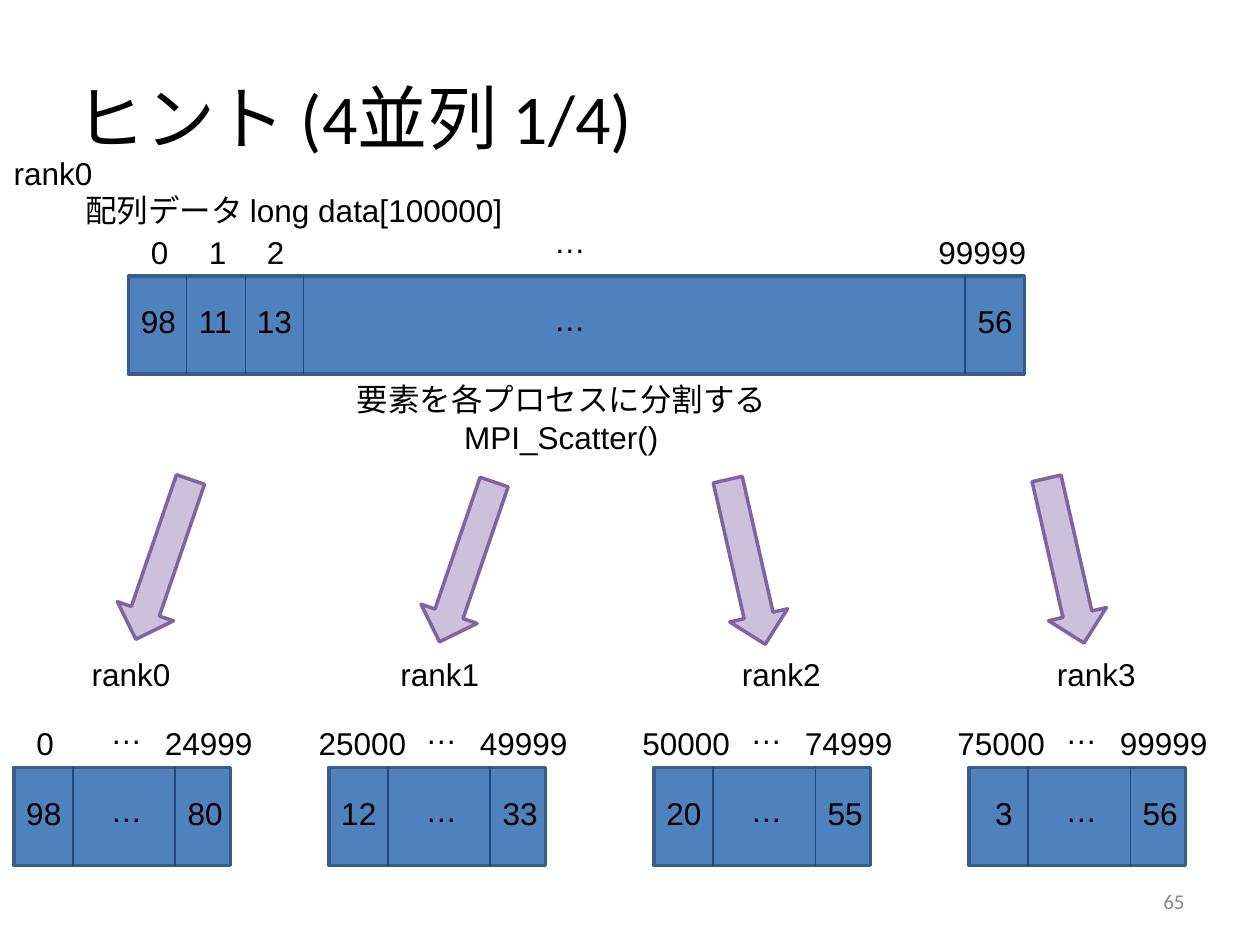
from dataclasses import dataclass
from typing import NamedTuple

from lxml import etree
from pptx import Presentation
from pptx import util as u
from pptx.dml.color import RGBColor
from pptx.enum import shapes, text
from pptx.oxml import ns

PX = 9144  # 100 px to the inch


@dataclass(frozen=True)
class Theme:
    ink: str = "000000"
    muted: str = "898989"
    array_fill: str = "4F81BD"
    array_line: str = "385D8A"
    divider: str = "1F497D"
    arrow_fill: str = "CCC1DA"
    arrow_line: str = "8064A2"
    heading_font: str = "Calibri"
    body_font: str = "Arial"
    title_size: int = 40
    body_size: int = 18
    number_size: int = 12
    outline: float = 2
    hairline: float = 0.75


class Cell(NamedTuple):
    left: int
    value: str
    index: str
    index_center: int
    value_indent: int = 0


class Block(NamedTuple):
    left: int
    rank_left: int
    first: Cell
    last: Cell
    arrow_left: int
    arrow_top: int
    arrow_turn: float


THEME = Theme()
LEFT, CENTER, RIGHT = text.PP_ALIGN.LEFT, text.PP_ALIGN.CENTER, text.PP_ALIGN.RIGHT
LABEL_HEIGHT = 40
VALUE_WIDTH = 48
ELLIPSIS_WIDTH = 45
RANK_WIDTH = 84
ARRAY_HEIGHT = 78

SOURCE_CELLS = [
    Cell(0, "98", "0", 25),
    Cell(46, "11", "1", 71),
    Cell(92, "13", "2", 117),
    Cell(664, "56", "99999", 678),
]
BLOCKS = [
    Block(11, 52, Cell(0, "98", "0", 25), Cell(128, "80", "24999", 155), 106, 377, 18.9),
    Block(261, 47, Cell(0, "12", "25000", 27), Cell(128, "33", "49999", 155), 347, 379, 18.9),
    Block(519, 60, Cell(0, "20", "50000", 26), Cell(128, "55", "74999", 155), 569, 379, -12.8),
    Block(769, 60, Cell(0, "3", "75000", 26, 11), Cell(128, "56", "99999", 155), 822, 378, -12.8),
]


def box(*lengths):
    return [u.Emu(length * PX) for length in lengths]


def color(value):
    return RGBColor.from_string(value)


def add_text(slide, left, top, width, height, lines, *, align=LEFT, wrap=False,
             anchor=text.MSO_ANCHOR.TOP, font=THEME.body_font,
             size=THEME.body_size, ink=THEME.ink, grow=True):
    frame = slide.shapes.add_textbox(*box(left, top, width, height)).text_frame
    frame.word_wrap = wrap
    frame.vertical_anchor = anchor
    frame.auto_size = (text.MSO_AUTO_SIZE.SHAPE_TO_FIT_TEXT if grow
                       else text.MSO_AUTO_SIZE.NONE)
    for number, line in enumerate(lines):
        paragraph = frame.add_paragraph() if number else frame.paragraphs[0]
        paragraph.alignment = align
        run = paragraph.add_run()
        run.text = line
        run.font.name = font
        run.font.size = u.Pt(size)
        run.font.color.rgb = color(ink)


def add_solid(slide, kind, left, top, width, height, fill, line):
    shape = slide.shapes.add_shape(kind, *box(left, top, width, height))
    shape.shadow.inherit = False
    shape.fill.solid()
    shape.fill.fore_color.rgb = color(fill)
    shape.line.color.rgb = color(line)
    shape.line.width = u.Pt(THEME.outline)
    return shape


def add_divider(slide, x, top, height):
    line = slide.shapes.add_connector(
        shapes.MSO_CONNECTOR.STRAIGHT, *box(x, top, x, top + height))
    line.line.color.rgb = color(THEME.divider)
    line.line.width = u.Pt(THEME.hairline)
    etree.SubElement(line._element.spPr, ns.qn("a:effectLst"))


def add_array(slide, left, top, width, cells, dividers, ellipsis_center):
    """Draw an array bar with values inside and element numbers above."""
    add_solid(slide, shapes.MSO_SHAPE.RECTANGLE, left, top, width, ARRAY_HEIGHT,
              THEME.array_fill, THEME.array_line)
    for offset in dividers:
        add_divider(slide, left + offset, top, ARRAY_HEIGHT)
    for cell in cells:
        add_text(slide, left + cell.left + cell.value_indent, top + 16,
                 VALUE_WIDTH, LABEL_HEIGHT, [cell.value], wrap=True)
        index_width = 20 + 14 * len(cell.index)
        add_text(slide, left + cell.index_center - index_width // 2, top - 39,
                 index_width, LABEL_HEIGHT, [cell.index])
    for offset in (-48, 14):
        add_text(slide, left + ellipsis_center - ELLIPSIS_WIDTH // 2, top + offset,
                 ELLIPSIS_WIDTH, LABEL_HEIGHT, ["…"])


def add_rank(slide, left, top, rank):
    add_text(slide, left, top, RANK_WIDTH, LABEL_HEIGHT, [f"rank{rank}"])


def add_source(slide, left, top):
    """Draw the whole array held by rank0, with its captions."""
    add_rank(slide, left - 101, top - 102, 0)
    add_text(slide, left - 44, top - 72, 357, LABEL_HEIGHT,
             ["配列データ long data[100000]"])
    add_array(slide, left, top, 711, SOURCE_CELLS, (46, 93, 139, 664), 350)
    add_text(slide, left + 171, top + 78, 345, 70,
             ["要素を各プロセスに分割する", "MPI_Scatter()"], align=CENTER)


def add_block(slide, block, top, rank):
    """Draw the part of the array that one rank receives, and its arrow."""
    arrow = add_solid(slide, shapes.MSO_SHAPE.DOWN_ARROW, block.arrow_left,
                      block.arrow_top, 47, 134, THEME.arrow_fill, THEME.arrow_line)
    arrow.rotation = block.arrow_turn
    add_rank(slide, block.left + block.rank_left, top - 94, rank)
    add_array(slide, block.left, top, 172, (block.first, block.last), (47, 128), 89)


def add_heading(slide):
    add_text(slide, 50, 30, 900, 125, ["ヒント (4並列 1/4)"], wrap=True, grow=False,
             anchor=text.MSO_ANCHOR.MIDDLE, font=THEME.heading_font,
             size=THEME.title_size)


def add_page_number(slide):
    add_text(slide, 717, 695, 233, 40, ["65"], align=RIGHT, wrap=True, grow=False,
             anchor=text.MSO_ANCHOR.MIDDLE, font=THEME.heading_font,
             size=THEME.number_size, ink=THEME.muted)


def main():
    presentation = Presentation()
    presentation.slide_width, presentation.slide_height = box(1000, 750)
    slide = presentation.slides.add_slide(presentation.slide_layouts[6])
    add_heading(slide)
    add_page_number(slide)
    add_source(slide, 102, 219)
    for rank, block in enumerate(BLOCKS):
        add_block(slide, block, 609, rank)
    presentation.save("out.pptx")


if __name__ == "__main__":
    main()
